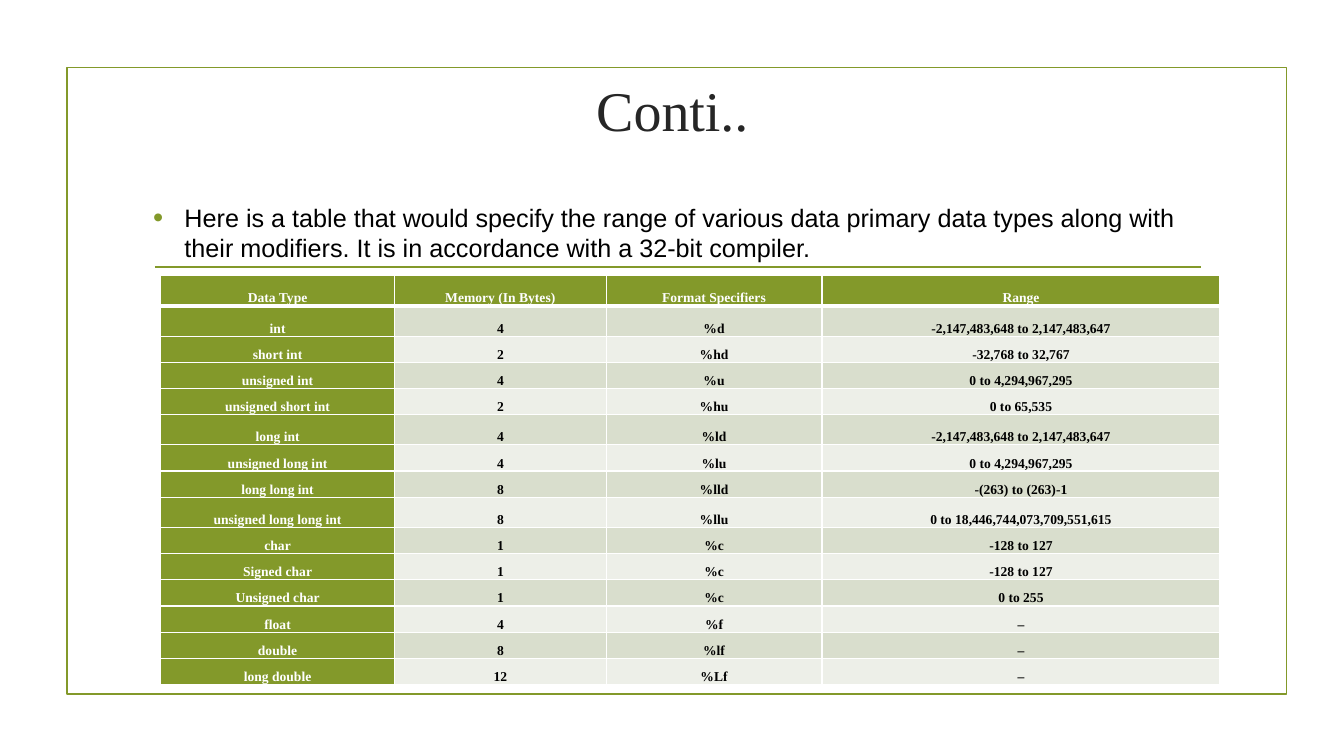
from lxml.etree import SubElement
from pptx import Presentation
from pptx.dml.color import RGBColor
from pptx.enum.shapes import MSO_CONNECTOR, MSO_SHAPE
from pptx.enum.text import MSO_ANCHOR, PP_ALIGN
from pptx.oxml.ns import qn
from pptx.util import Cm, Pt

GREEN = RGBColor(0x83, 0x99, 0x2A)
DARK_BAND = RGBColor(0xD9, 0xDE, 0xCD)
LIGHT_BAND = RGBColor(0xED, 0xEF, 0xE8)
CHARCOAL = RGBColor(0x26, 0x26, 0x26)
BLACK = RGBColor(0, 0, 0)
WHITE = RGBColor(0xFF, 0xFF, 0xFF)

INTRO = ("Here is a table that would specify the range of various data primary "
         "data types along with their modifiers. It is in accordance with a "
         "32-bit compiler.")
DATA_TYPES = [
    ("Data Type", "Memory (In Bytes)", "Format Specifiers", "Range"),
    ("int", "4", "%d", "-2,147,483,648 to 2,147,483,647"),
    ("short int", "2", "%hd", "-32,768 to 32,767"),
    ("unsigned int", "4", "%u", "0 to 4,294,967,295"),
    ("unsigned short int", "2", "%hu", "0 to 65,535"),
    ("long int", "4", "%ld", "-2,147,483,648 to 2,147,483,647"),
    ("unsigned long int", "4", "%lu", "0 to 4,294,967,295"),
    ("long long int", "8", "%lld", "-(263) to (263)-1"),
    ("unsigned long long int", "8", "%llu", "0 to 18,446,744,073,709,551,615"),
    ("char", "1", "%c", "-128 to 127"),
    ("Signed char", "1", "%c", "-128 to 127"),
    ("Unsigned char", "1", "%c", "0 to 255"),
    ("float", "4", "%f", "–"),
    ("double", "8", "%lf", "–"),
    ("long double", "12", "%Lf", "–"),
]
COLUMN_SHARES = (2.32, 2.1, 2.14, 3.95)
TALL_ROWS = (0, 1, 5, 8)


def format_run(paragraph, font_name, size, color, bold=False):
    font = paragraph.runs[0].font
    font.name, font.size, font.bold = font_name, Pt(size), bold
    font.color.rgb = color


def add_frame(slide, left, top, width, height):
    """Outline around the content, with a rule under the introduction."""
    frame = slide.shapes.add_shape(MSO_SHAPE.RECTANGLE, left, top, width, height)
    frame.shadow.inherit = False
    frame.fill.background()
    rule_top = top + Cm(5.03)
    rule = slide.shapes.add_connector(
        MSO_CONNECTOR.STRAIGHT, left + Cm(2.21), rule_top,
        left + width - Cm(2.16), rule_top)
    SubElement(rule._element.spPr, qn("a:effectLst"))
    for shape in (frame, rule):
        shape.line.color.rgb = GREEN
        shape.line.width = Pt(1.25)


def set_title(slide, left, top, width, height):
    title = slide.shapes.title
    title.left, title.top, title.width, title.height = left, top, width, height
    text_frame = title.text_frame
    text_frame.text = "Conti.."
    text_frame.vertical_anchor = MSO_ANCHOR.MIDDLE
    paragraph = text_frame.paragraphs[0]
    paragraph.alignment = PP_ALIGN.CENTER
    format_run(paragraph, "Times New Roman", 40, CHARCOAL)


def add_introduction(slide, left, top, width, height):
    text_frame = slide.shapes.add_textbox(left, top, width, height).text_frame
    text_frame.word_wrap = True
    text_frame.text = INTRO
    paragraph = text_frame.paragraphs[0]
    paragraph.space_before, paragraph.space_after = Pt(3.6), Pt(6)
    format_run(paragraph, "Arial", 18, BLACK)
    # Green bullet with a hanging indent
    properties = paragraph._p.get_or_add_pPr()
    properties.set("marL", str(Cm(0.79)))
    properties.set("indent", str(-Cm(0.79)))
    bullet_color = SubElement(properties, qn("a:buClr"))
    SubElement(bullet_color, qn("a:srgbClr"), val=str(GREEN))
    SubElement(properties, qn("a:buSzPct"), val="115000")
    SubElement(properties, qn("a:buFont"), typeface="Arial")
    SubElement(properties, qn("a:buChar"), char="•")


def set_borders(cell, row):
    widths = {"a:lnL": 1, "a:lnR": 1,
              "a:lnT": 3 if row == 1 else 1, "a:lnB": 3 if row == 0 else 1}
    properties = cell._tc.get_or_add_tcPr()
    for side, width in widths.items():
        line = SubElement(properties, qn(side), w=str(Pt(width)))
        fill = SubElement(line, qn("a:solidFill"))
        SubElement(fill, qn("a:srgbClr"), val=str(WHITE))


def format_cell(cell, row, column):
    is_heading = row == 0 or column == 0
    set_borders(cell, row)
    cell.fill.solid()
    band = DARK_BAND if row % 2 else LIGHT_BAND
    cell.fill.fore_color.rgb = GREEN if is_heading else band
    cell.vertical_anchor = MSO_ANCHOR.BOTTOM
    cell.margin_left = cell.margin_right = Cm(0.13)
    cell.margin_top = cell.margin_bottom = 0
    paragraph = cell.text_frame.paragraphs[0]
    paragraph.alignment = PP_ALIGN.CENTER
    paragraph.line_spacing = 1.15
    paragraph.space_after = Pt(10)
    format_run(paragraph, "Times New Roman", 9.7,
               WHITE if is_heading else BLACK, bold=True)


def add_data_types(slide, left, top, width, height):
    table = slide.shapes.add_table(
        len(DATA_TYPES), len(COLUMN_SHARES), left, top, width, height).table
    for column, share in zip(table.columns, COLUMN_SHARES):
        column.width = int(width * share / sum(COLUMN_SHARES))
    for row, values in enumerate(DATA_TYPES):
        table.rows[row].height = Cm(0.76 if row in TALL_ROWS else 0.66)
        for column, value in enumerate(values):
            cell = table.cell(row, column)
            cell.text = value
            format_cell(cell, row, column)


def main():
    presentation = Presentation()
    presentation.slide_width, presentation.slide_height = Cm(33.87), Cm(19.05)
    title_only = presentation.slide_layouts[5]
    slide = presentation.slides.add_slide(title_only)
    add_frame(slide, Cm(1.69), Cm(1.7), Cm(30.73), Cm(15.79))
    set_title(slide, Cm(3.61), Cm(1.35), Cm(26.67), Cm(2.79))
    add_introduction(slide, Cm(3.61), Cm(4.98), Cm(26.67), Cm(11.33))
    add_data_types(slide, Cm(4.05), Cm(6.95), Cm(26.7), Cm(10.26))
    presentation.save("out.pptx")


if __name__ == "__main__":
    main()
